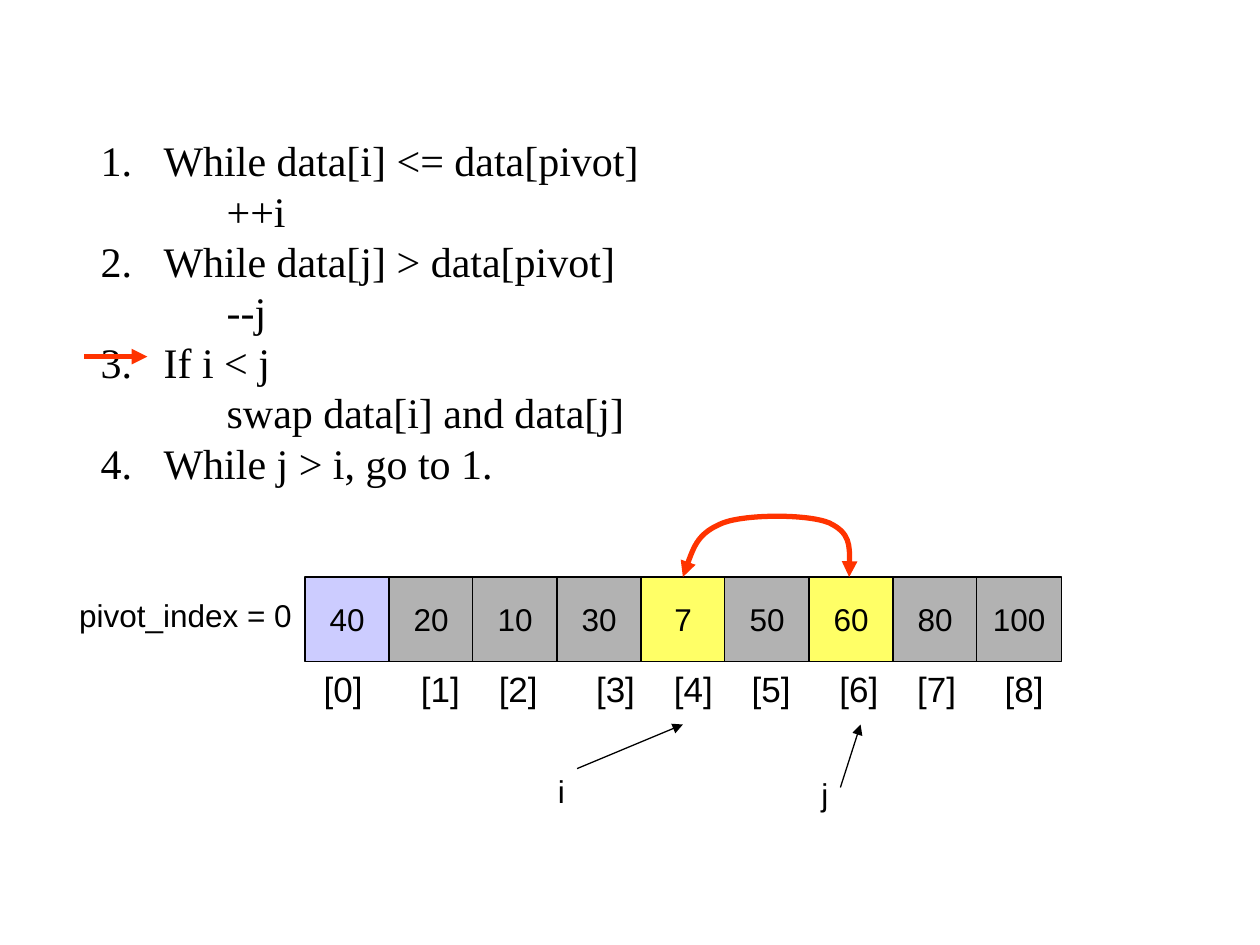
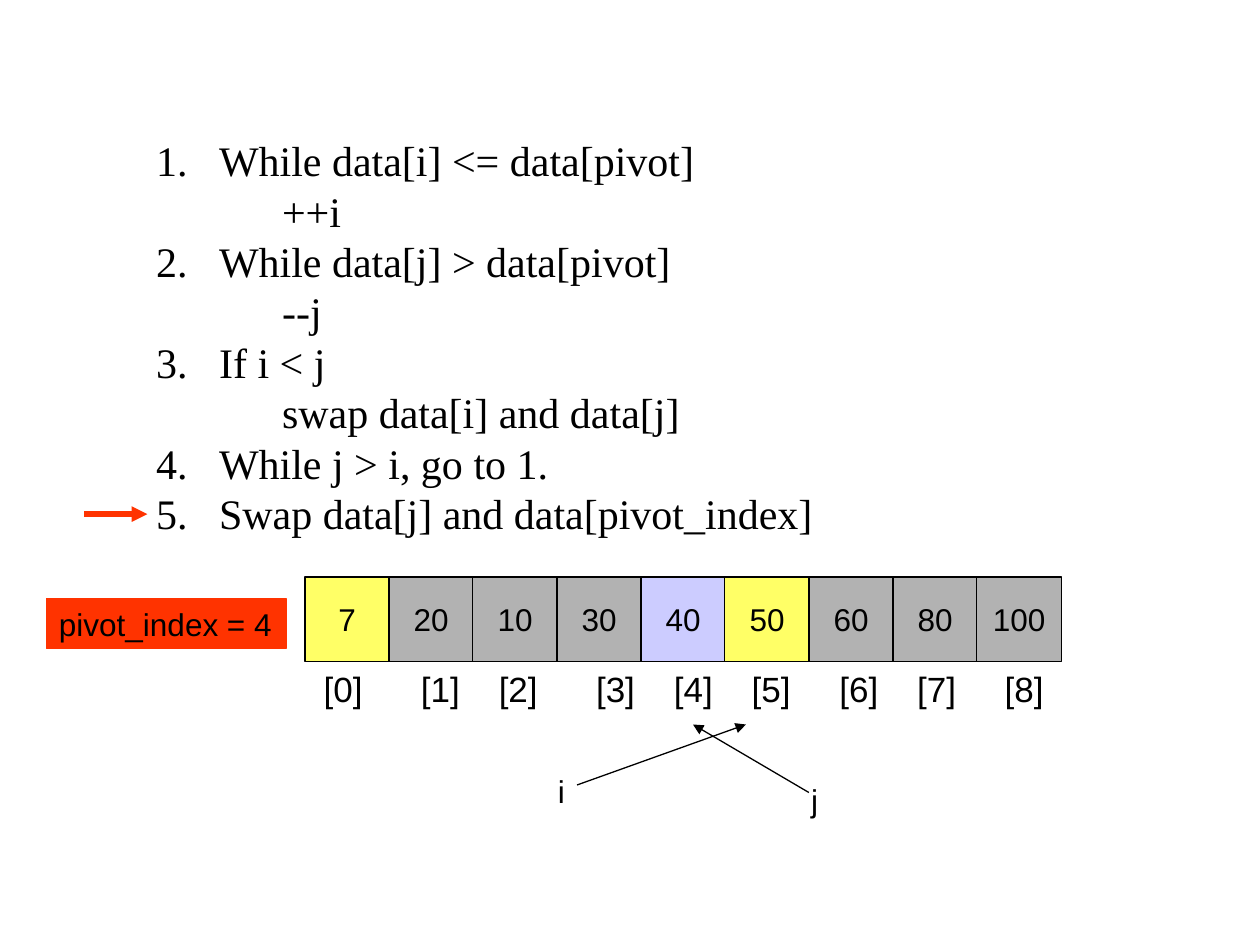
"""Build two slides that trace the partition step of quicksort."""
from dataclasses import dataclass
from itertools import accumulate

from lxml import etree
from pptx import Presentation
from pptx.dml.color import RGBColor
from pptx.enum.shapes import MSO_CONNECTOR, MSO_SHAPE
from pptx.enum.text import MSO_ANCHOR, PP_ALIGN
from pptx.oxml.ns import qn
from pptx.shapes.autoshape import Shape
from pptx.slide import Slide
from pptx.text.text import _Paragraph
from pptx.util import Inches, Pt

RECTANGLE = MSO_SHAPE.RECTANGLE
STRAIGHT = MSO_CONNECTOR.STRAIGHT
LEFT, CENTER = PP_ALIGN.LEFT, PP_ALIGN.CENTER
TOP, MIDDLE = MSO_ANCHOR.TOP, MSO_ANCHOR.MIDDLE

COLORS = {
    "ink": "000000",
    "plain": "B2B2B2",
    "pivot": "CCCCFF",
    "active": "FFFF66",
    "accent": "FF3300",
}
SANS, SERIF = "Arial", "Times New Roman"
ARRAY_LEFT, ARRAY_TOP, ARRAY_WIDTH, CELL_SIZE = 2.42, 4.58, 6.0, 0.67
INDEX_GAPS = (6, 4, 6, 4, 4, 5, 4, 5)
INDEX_LABEL_UNITS = 4
INDEX_UNIT = 20 / 72 * 0.278
STEP_INDENT = 0.5
STEPS = (
    (0, "While data[i] <= data[pivot]"),
    (1, "++i"),
    (0, "While data[j] > data[pivot]"),
    (1, "--j"),
    (0, "If i < j"),
    (1, "swap data[i] and data[j]"),
    (0, "While j > i, go to 1."),
)
FINAL_STEP = (0, "Swap data[j] and data[pivot_index]")
SWAP_CURVE = (
    (5.42, 4.58),
    (5.48, 4.4), (5.54, 4.23), (5.74, 4.15),
    (5.93, 4.08), (6.41, 4.08), (6.58, 4.15),
    (6.75, 4.23), (6.75, 4.4), (6.74, 4.58),
)


@dataclass(frozen=True)
class Label:
    """A text with its place and optional box colours."""
    text: str
    left: float
    top: float
    width: float
    height: float = 0.4
    fill: str = ""
    outline: str = ""
    align: PP_ALIGN = LEFT
    anchor: MSO_ANCHOR = TOP


@dataclass(frozen=True)
class Arrow:
    """A straight arrow from start to end."""
    start: tuple[float, float]
    end: tuple[float, float]
    color: str = "ink"
    width: float = 0.75


@dataclass(frozen=True)
class Stage:
    """One moment of the algorithm."""
    steps: tuple[tuple[int, str], ...]
    steps_box: tuple[float, float, float, float]
    values: tuple[int, ...]
    pivot: int
    active: tuple[int, ...]
    labels: tuple[Label, ...]
    arrows: tuple[Arrow, ...]
    shows_swap: bool = False


def rgb(name: str) -> RGBColor:
    """Return a named colour."""
    return RGBColor.from_string(COLORS[name])


def write(paragraph: _Paragraph, text: str, size: float = 18, font: str = SANS) -> None:
    """Add one run in the ink colour."""
    run = paragraph.add_run()
    run.text = text
    run.font.size = Pt(size)
    run.font.name = font
    run.font.color.rgb = rgb("ink")


def add_label(slide: Slide, label: Label) -> Shape:
    """Draw a label, boxed when it has a fill."""
    box = [Inches(n) for n in (label.left, label.top, label.width, label.height)]
    if label.fill:
        shape = slide.shapes.add_shape(RECTANGLE, *box)
        shape.shadow.inherit = False
        shape.fill.solid()
        shape.fill.fore_color.rgb = rgb(label.fill)
        shape.line.color.rgb = rgb(label.outline)
        shape.line.width = Pt(0.75)
    else:
        shape = slide.shapes.add_textbox(*box)
    frame = shape.text_frame
    frame.word_wrap = True
    frame.vertical_anchor = label.anchor
    paragraph = frame.paragraphs[0]
    paragraph.alignment = label.align
    write(paragraph, label.text)
    return shape


def add_arrowheads(shape_properties: etree._Element, *ends: str) -> None:
    """Put triangles on the named line ends."""
    line = shape_properties.find(qn("a:ln"))
    for end in ends:
        etree.SubElement(line, qn(f"a:{end}"), type="triangle")


def add_arrow(slide: Slide, arrow: Arrow) -> None:
    """Draw a straight arrow."""
    points = [Inches(n) for n in arrow.start + arrow.end]
    connector = slide.shapes.add_connector(STRAIGHT, *points)
    connector.line.color.rgb = rgb(arrow.color)
    connector.line.width = Pt(arrow.width)
    properties = connector._element.spPr
    add_arrowheads(properties, "tailEnd")
    etree.SubElement(properties, qn("a:effectLst"))


def add_swap_curve(slide: Slide) -> None:
    """Draw the double-headed curve between the swapped cells."""
    start, *rest = [(Inches(x), Inches(y)) for x, y in SWAP_CURVE]
    builder = slide.shapes.build_freeform(*start)
    builder.add_line_segments(rest, close=False)
    shape = builder.convert_to_shape()
    shape.shadow.inherit = False
    shape.fill.background()
    shape.line.color.rgb = rgb("accent")
    shape.line.width = Pt(3)
    properties = shape._element.spPr
    add_arrowheads(properties, "headEnd", "tailEnd")
    outline = properties.find(f".//{qn('a:path')}")
    for number, segment in enumerate(outline.findall(qn("a:lnTo"))):
        if number % 3 == 0:
            curve = etree.SubElement(outline, qn("a:cubicBezTo"))
        curve.append(segment[0])
        outline.remove(segment)


def add_steps(slide: Slide, stage: Stage) -> None:
    """Write the numbered steps with their indented actions."""
    box = slide.shapes.add_textbox(*[Inches(n) for n in stage.steps_box])
    frame = box.text_frame
    frame.word_wrap = True
    for number, (level, text) in enumerate(stage.steps):
        paragraph = frame.add_paragraph() if number else frame.paragraphs[0]
        paragraph.level = level
        properties = paragraph._p.get_or_add_pPr()
        properties.set("marL", str(Inches(STEP_INDENT * (level + 1))))
        properties.set("indent", str(0 if level else -Inches(STEP_INDENT)))
        if level:
            etree.SubElement(properties, qn("a:buNone"))
        else:
            etree.SubElement(properties, qn("a:buAutoNum"), type="arabicPeriod")
        write(paragraph, text, 24, SERIF)


def add_array(slide: Slide, stage: Stage) -> None:
    """Draw the cells and the index line below them."""
    pitch = ARRAY_WIDTH / len(stage.values)
    for index, value in enumerate(stage.values):
        fill = "active" if index in stage.active else "plain"
        if index == stage.pivot:
            fill = "pivot"
        add_label(slide, Label(str(value), ARRAY_LEFT + index * pitch, ARRAY_TOP,
                               CELL_SIZE, CELL_SIZE, fill, "ink", CENTER, MIDDLE))
    box = slide.shapes.add_textbox(Inches(2.47), Inches(5.25), Inches(5.95), Inches(0.44))
    box.text_frame.word_wrap = True
    paragraph = box.text_frame.paragraphs[0]
    tabs = etree.SubElement(paragraph._p.get_or_add_pPr(), qn("a:tabLst"))
    for units in accumulate(gap + INDEX_LABEL_UNITS for gap in INDEX_GAPS):
        etree.SubElement(tabs, qn("a:tab"), pos=str(Inches(units * INDEX_UNIT)), algn="l")
    write(paragraph, "\t".join(f"[{index}]" for index in range(len(stage.values))), 20)


def add_stage(presentation: Presentation, stage: Stage) -> None:
    """Add the slide of one stage."""
    slide = presentation.slides.add_slide(presentation.slide_layouts[6])
    add_steps(slide, stage)
    add_array(slide, stage)
    for label in stage.labels:
        add_label(slide, label)
    for arrow in stage.arrows:
        add_arrow(slide, arrow)
    if stage.shows_swap:
        add_swap_curve(slide)


I_LABEL = Label("i", 4.33, 6.08, 3.17)
STAGES = (
    Stage(
        STEPS, (0.7, 1.02, 5.35, 4.1),
        (40, 20, 10, 30, 7, 50, 60, 80, 100), 0, (4, 6),
        (Label("pivot_index = 0", 0.53, 4.68, 1.9), I_LABEL,
         Label("j", 6.42, 6.1, 2.33)),
        (Arrow((6.67, 6.25), (6.83, 5.75)), Arrow((4.58, 6.1), (5.42, 5.75)),
         Arrow((0.67, 2.83), (1.17, 2.83), "accent", 3)),
        shows_swap=True,
    ),
    Stage(
        STEPS + (FINAL_STEP,), (1.14, 1.02, 5.45, 4.5),
        (7, 20, 10, 30, 40, 50, 60, 80, 100), 4, (0, 5),
        (Label("pivot_index = 4", 0.37, 4.75, 1.9, fill="accent", outline="accent"),
         I_LABEL, Label("j", 6.34, 6.15, 2.33)),
        (Arrow((6.42, 6.29), (5.5, 5.75)), Arrow((4.58, 6.23), (5.92, 5.75)),
         Arrow((0.67, 4.08), (1.17, 4.08), "accent", 3)),
    ),
)


def main() -> None:
    """Build and save the presentation."""
    presentation = Presentation()
    presentation.slide_width = Inches(10)
    presentation.slide_height = Inches(7.5)
    for stage in STAGES:
        add_stage(presentation, stage)
    presentation.save("out.pptx")


if __name__ == "__main__":
    main()
